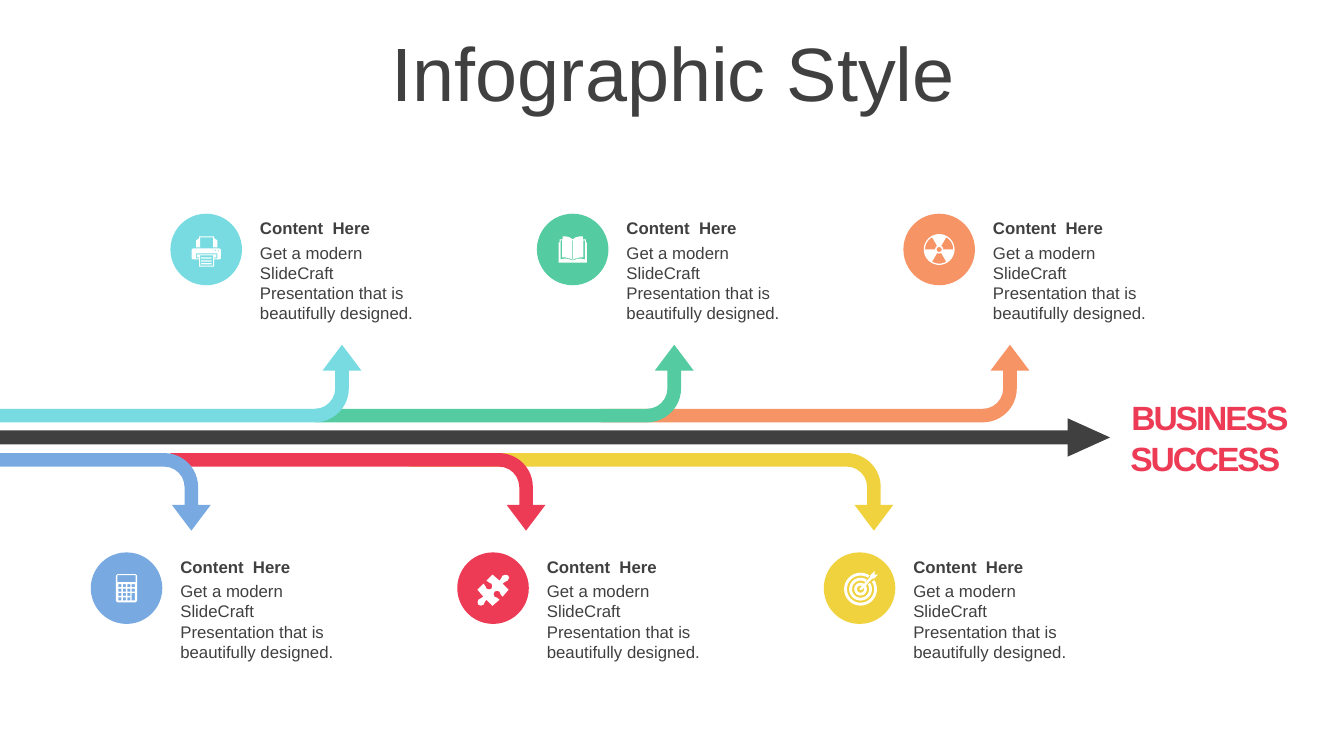
from math import cos, radians, sin

from pptx import Presentation
from pptx.dml.color import RGBColor
from pptx.enum.shapes import MSO_SHAPE
from pptx.enum.text import MSO_ANCHOR, PP_ALIGN
from pptx.util import Inches, Pt

RECTANGLE = MSO_SHAPE.RECTANGLE
OVAL = MSO_SHAPE.OVAL
BENT_ARROW = MSO_SHAPE.BENT_ARROW
TRIANGLE = MSO_SHAPE.FLOWCHART_EXTRACT
LEFT, CENTER = PP_ALIGN.LEFT, PP_ALIGN.CENTER
TOP, MIDDLE = MSO_ANCHOR.TOP, MSO_ANCHOR.MIDDLE

DARK = RGBColor(0x40, 0x40, 0x40)
WHITE = RGBColor(0xFF, 0xFF, 0xFF)
CYAN = RGBColor(0x77, 0xDB, 0xE1)
GREEN = RGBColor(0x54, 0xCB, 0xA0)
ORANGE = RGBColor(0xF7, 0x94, 0x65)
BLUE = RGBColor(0x78, 0xAA, 0xE1)
RED = RGBColor(0xED, 0x3B, 0x55)
YELLOW = RGBColor(0xF0, 0xD2, 0x3F)

SLIDE_WIDTH, SLIDE_HEIGHT = 13.33, 7.5
COLUMN = 3.635
DISC = 0.71
TEXT_OFFSET = 0.79
BEND_HEIGHT = 0.77
AXIS = 4.34
HEADING = "Content  Here"
BODY = "Get a modern SlideCraft Presentation that is beautifully designed."


def paint(shape, color):
    shape.shadow.inherit = False
    shape.fill.solid()
    shape.fill.fore_color.rgb = color
    shape.line.fill.background()


def add_block(page, kind, left, top, width, height, color, rotation=0):
    shape = page.shapes.add_shape(
        kind, Inches(left), Inches(top), Inches(width), Inches(height))
    shape.rotation = rotation
    paint(shape, color)
    return shape


def add_text(page, text, left, top, width, height, size=12, color=DARK,
             bold=False, align=LEFT, anchor=TOP):
    box = page.shapes.add_textbox(
        Inches(left), Inches(top), Inches(width), Inches(height))
    frame = box.text_frame
    frame.word_wrap = True
    frame.vertical_anchor = anchor
    frame.text = text
    para = frame.paragraphs[0]
    para.alignment = align
    font = para.runs[0].font
    font.name, font.size, font.bold = "Arial", Pt(size), bold
    font.color.rgb = color
    return frame


def add_bend(page, start, end, middle, color, upward):
    length = end - start
    arrow = add_block(page, BENT_ARROW, (start + end - BEND_HEIGHT) / 2,
                      middle - length / 2, BEND_HEIGHT, length, color, 90)
    for index, share in enumerate((0.175, 0.25, 0.332, 0.438)):
        arrow.adjustments[index] = share
    if upward:
        arrow._element.spPr.xfrm.set("flipH", "1")


def add_icon(page, contours, center_x, center_y):
    def place(point):
        return (Inches(center_x + point[0] / 100),
                Inches(center_y + point[1] / 100))

    builder = page.shapes.build_freeform(*place(contours[0][0]), scale=1.0)
    for index, contour in enumerate(contours):
        points = [place(point) for point in contour]
        if index:
            builder.move_to(*points[0])
        builder.add_line_segments(points[1:], close=True)
    paint(builder.convert_to_shape(), WHITE)


def box_outline(left, top, right, bottom):
    return [(left, top), (right, top), (right, bottom), (left, bottom)]


def arc(radius, start=0, end=360, center=0):
    steps = 30
    angles = [radians(start + (end - start) * step / steps)
              for step in range(steps + 1)]
    return [(center + radius * cos(a), center + radius * sin(a)) for a in angles]


def band(outer, inner, start, end, center=0):
    return arc(outer, start, end, center) + arc(inner, end, start, center)


def printer():
    body = [(-14.5, 0), (-13, -1), (13, -1), (14.5, 0), (14.5, 9), (13, 10),
            (8, 10), (8, 17), (-7, 17), (-7, 10), (-13, 10), (-14.5, 9)]
    slot = [(-10, 4), (11, 4), (11, 9), (8, 9), (8, 8), (10, 8), (10, 5),
            (-9, 5), (-9, 8), (-7, 8), (-7, 9), (-10, 9)]
    feed = [(-7, -13), (8, -13), (8, -11), (11, -9), (11, -2), (7, -2),
            (7, -12), (-6, -12), (-6, -2), (-10, -2), (-10, -9), (-7, -11)]
    lines = [box_outline(-5, y, 5.5, y + 1.2) for y in (8, 10.8, 13.6)]
    buttons = [box_outline(x, 0.5, x + 1.2, 1.7) for x in (8.5, 11.5)]
    return [body, slot, feed, box_outline(-6, 6, 7, 16), *lines, *buttons]


def book():
    half = [(0, -10), (3, -12), (7, -13), (10, -13), (10, -10), (13, -10),
            (13, -7), (14, -7), (14, 13)]
    gap = [(12, -9), (10.5, -9), (10.5, 8), (7, 8), (3, 9), (0.4, 10),
           (0.4, 11), (4, 9.5), (8, 9), (12, 10)]
    cover = half + [(-x, y) for x, y in reversed(half[1:])]
    return [cover, gap, [(-x, y) for x, y in gap],
            box_outline(-0.3, -9, 0.3, 10)]


def radiation():
    blades = [band(14, 4, start, start + 60) for start in (60, 180, 300)]
    return [arc(15.3), arc(2.5), *blades]


def calculator():
    keys = [box_outline(-8 + 4.4 * column, -4 + 4.4 * row,
                        -5 + 4.4 * column, -1 + 4.4 * row)
            for row in range(4) for column in range(4)
            if column < 3 or row < 2]
    body = [(-10.5, -12.5), (-9, -14), (9, -14), (10.5, -12.5),
            (10.5, 12.5), (9, 14), (-9, 14), (-10.5, 12.5)]
    return [body, box_outline(-9, -12.8, 9, -6),
            box_outline(5.2, 4.8, 8.2, 12.2), *keys]


def puzzle():
    return [[(13, -13.3), (15, -12.5), (16, -10.5), (14.5, -7.5), (12, -6.3),
             (9.5, -4.5), (15.5, 1.5), (9.5, 8.5), (7.5, 6), (6.5, 3.5),
             (4, 2.5), (1.5, 3.5), (0.5, 6), (1.5, 8.5), (4, 9.5), (6.5, 11.5),
             (-0.5, 17.5), (-6.5, 11.5), (-8, 13.5), (-9.5, 16.5), (-12, 17.3),
             (-14.5, 16.5), (-15.3, 14), (-14.5, 11.5), (-12, 10), (-9.5, 8.5),
             (-15.5, 1.5), (-9.5, -4.5), (-7.5, -2), (-6.5, 0.5), (-4, 1.3),
             (-1.5, 0.5), (-0.7, -2), (-1.5, -4.5), (-4, -5.7), (-6.5, -7.5),
             (-0.5, -13.5), (6.5, -7.5), (8, -9.5), (9.5, -12.5)]]


def target():
    rings = [band(outer, inner, -33, 303, 1)
             for outer, inner in ((16.3, 13.5), (11.3, 8.5), (6.3, 3.5))]
    arrow = [(0, 2), (0, 0.5), (10.5, -11), (10.5, -12.5), (15, -17),
             (15, -13.5), (18.5, -13.5), (14.5, -9.5), (12.5, -9.5), (2, 2)]
    return [*rings, arrow]


def add_station(page, left, top, color, contours):
    add_text(page, HEADING, left + TEXT_OFFSET, top - 0.01, 1.89, 0.3,
             bold=True, anchor=MIDDLE)
    add_text(page, BODY, left + TEXT_OFFSET, top + 0.235, 1.89, 0.91)
    add_block(page, OVAL, left, top, DISC, DISC, color)
    add_icon(page, contours, left + DISC / 2, top + DISC / 2)


def add_main_arrow(page):
    add_block(page, RECTANGLE, 0, AXIS - 0.07, 10.76, 0.14, DARK)
    add_block(page, TRIANGLE, 10.61, AXIS - 0.21, 0.38, 0.42, DARK, 90)


def main():
    deck = Presentation()
    deck.slide_width, deck.slide_height = Inches(SLIDE_WIDTH), Inches(SLIDE_HEIGHT)
    page = deck.slides.add_slide(deck.slide_layouts[6])

    title = add_text(page, "Infographic Style", 0.35, 0.37, 12.66, 0.79,
                     size=54, align=CENTER, anchor=MIDDLE)
    title.paragraphs[0].line_spacing = 0.9
    add_main_arrow(page)

    goal = add_text(page, "BUSINESS SUCCESS ", 11.16, 3.94, 1.66, 0.81,
                    size=24, color=RED, bold=True, align=CENTER)
    goal.margin_left = goal.margin_right = goal.margin_top = goal.margin_bottom = 0
    goal.paragraphs[0].runs[0].font._element.set("spc", "-150")

    upper = [(CYAN, printer, 0, 3.585), (GREEN, book, 3.13, 6.88),
             (ORANGE, radiation, 5.96, 10.21)]
    lower = [(BLUE, calculator, 0, 2.09), (RED, puzzle, 1.69, 5.41),
             (YELLOW, target, 4.06, 8.86)]
    for stations, left, top, middle, upward in (
            (upper, 1.69, 2.12, 3.805, True), (lower, 0.9, 5.48, 4.88, False)):
        for color, icon, start, end in reversed(stations):
            add_bend(page, start, end, middle, color, upward)
        for column, (color, icon, start, end) in enumerate(stations):
            add_station(page, left + column * COLUMN, top, color, icon())

    deck.save("out.pptx")


if __name__ == "__main__":
    main()
